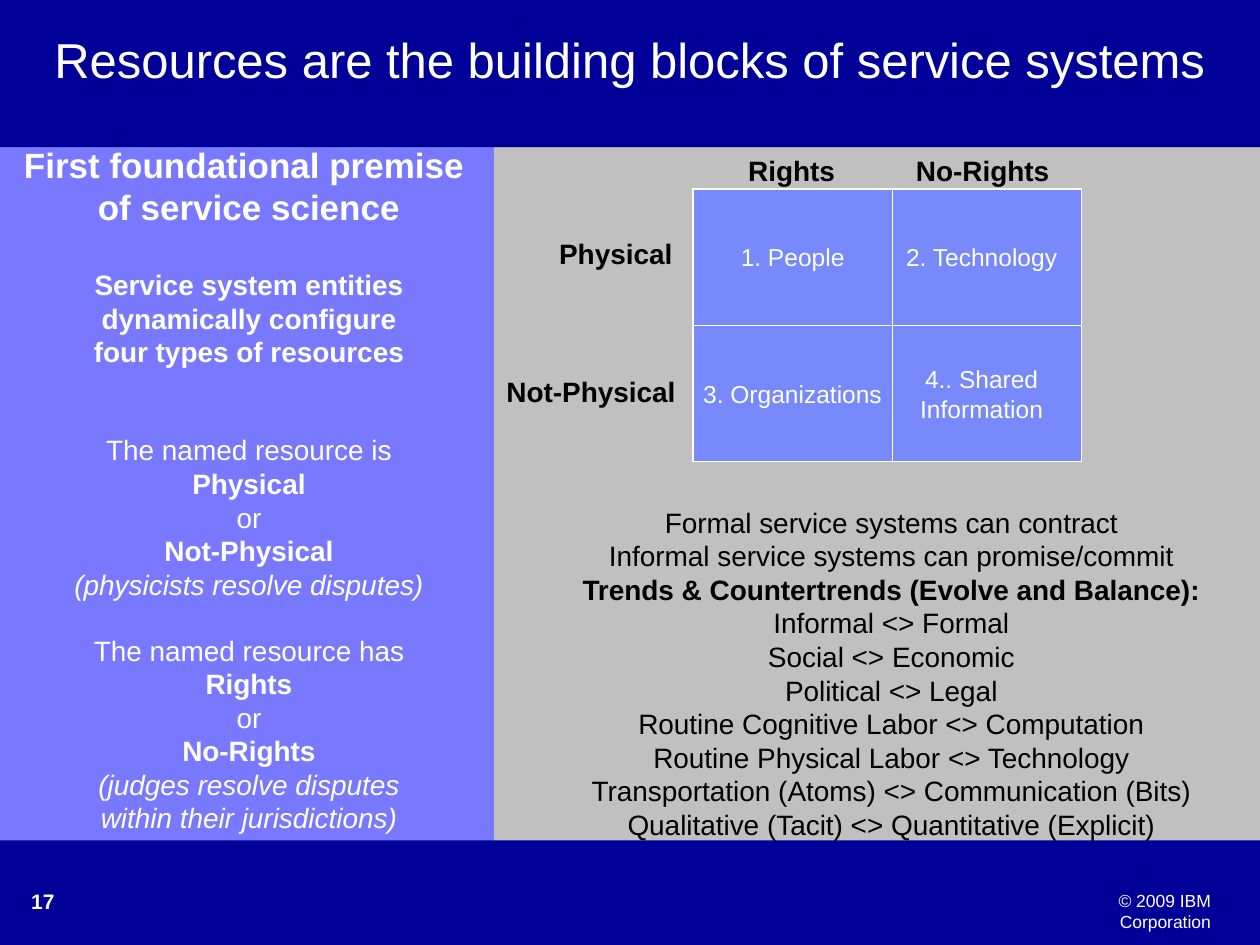
from dataclasses import dataclass
from typing import NamedTuple

from pptx import Presentation
from pptx.dml.color import RGBColor
from pptx.enum.shapes import MSO_SHAPE
from pptx.enum.text import MSO_ANCHOR, MSO_AUTO_SIZE, PP_ALIGN
from pptx.util import Cm, Pt

RECT = MSO_SHAPE.RECTANGLE
LEFT, MID, RIGHT = PP_ALIGN.LEFT, PP_ALIGN.CENTER, PP_ALIGN.RIGHT
TOP, CENTER = MSO_ANCHOR.TOP, MSO_ANCHOR.MIDDLE
FIXED = MSO_AUTO_SIZE.NONE


@dataclass(frozen=True)
class Theme:
    font: str = "Arial"
    back: RGBColor = RGBColor(0xC0, 0xC0, 0xC0)
    navy: RGBColor = RGBColor(0, 0, 0x99)
    panel: RGBColor = RGBColor(0x79, 0x79, 0xFF)
    cell: RGBColor = RGBColor(0x78, 0x89, 0xFB)
    white: RGBColor = RGBColor(0xFF, 0xFF, 0xFF)
    black: RGBColor = RGBColor(0, 0, 0)
    title: int = 28
    head: int = 20
    body: int = 16
    small: int = 14
    page: int = 12
    foot: int = 10


THEME = Theme()


class Box(NamedTuple):
    """Left, top, width and height in centimetres."""
    x: float
    y: float
    w: float
    h: float

    def place(self) -> tuple:
        return tuple(Cm(n) for n in self)


class Line(NamedTuple):
    text: str
    size: int = THEME.body
    bold: bool = False
    slant: bool = False
    gap: float = 0  # points before the line


class Label(NamedTuple):
    text: str
    box: Box


def write(frame, lines: list[Line], color: RGBColor, align=MID,
          anchor=TOP, wrap: bool = False) -> None:
    frame.auto_size = FIXED
    frame.word_wrap = wrap
    frame.vertical_anchor = anchor
    for i, line in enumerate(lines):
        para = frame.add_paragraph() if i else frame.paragraphs[0]
        para.text = line.text
        para.alignment = align
        if line.gap:
            para.space_before = Pt(line.gap)
        font = para.font
        font.name, font.size = THEME.font, Pt(line.size)
        font.bold, font.italic = line.bold, line.slant
        font.color.rgb = color


def add_rect(slide, box: Box, fill: RGBColor, edge: RGBColor | None = None):
    shape = slide.shapes.add_shape(RECT, *box.place())
    shape.shadow.inherit = False
    shape.fill.solid()
    shape.fill.fore_color.rgb = fill
    if edge is None:
        shape.line.fill.background()
    else:
        shape.line.color.rgb = edge
        shape.line.width = Pt(0.75)
    return shape


def add_text(slide, box: Box, lines: list[Line], color: RGBColor,
             align=MID, wrap: bool = False) -> None:
    frame = slide.shapes.add_textbox(*box.place()).text_frame
    write(frame, lines, color, align, wrap=wrap)


BANDS = [
    (Box(0, 1.07, 9.96, 17.15), THEME.panel),
    (Box(0, 0, 25.4, 2.97), THEME.navy),
    (Box(0, 16.94, 25.4, 2.11), THEME.navy),
]

# Gaps are one or two line heights
PREMISE = [
    Line("First foundational premise ", THEME.head, True),
    Line("of service science", THEME.head, True),
    Line("Service system entities", bold=True, gap=23),
    Line("dynamically configure", bold=True),
    Line("four types of resources", bold=True),
    Line("The named resource is", gap=36.8),
    Line("Physical", bold=True),
    Line("or"),
    Line("Not-Physical", bold=True),
    Line("(physicists resolve disputes)", slant=True),
    Line("The named resource has", gap=18.4),
    Line("Rights", bold=True),
    Line("or"),
    Line("No-Rights", bold=True),
    Line("(judges resolve disputes", slant=True),
    Line("within their jurisdictions)", slant=True),
]

TRENDS = [
    Line("Formal service systems can contract"),
    Line("Informal service systems can promise/commit"),
    Line("Trends & Countertrends (Evolve and Balance):", bold=True),
    Line("Informal <> Formal"),
    Line("Social <> Economic"),
    Line("Political <> Legal"),
    Line("Routine Cognitive Labor <> Computation"),
    Line("Routine Physical Labor <> Technology"),
    Line("Transportation (Atoms) <> Communication (Bits)"),
    Line("Qualitative (Tacit) <> Quantitative (Explicit)"),
]

LABELS = [
    Label("Physical", Box(11.02, 4.65, 2.79, 0.94)),
    Label("Not-Physical", Box(9.96, 7.42, 3.91, 0.94)),
    Label("Rights", Box(14.83, 2.97, 2.26, 0.94)),
    Label("No-Rights", Box(18.21, 2.97, 3.2, 0.94)),
]

# Columns of the matrix; the left one overlaps the right one
GRID = Box(13.97, 3.81, 4.02, 2.75)
STEP = 3.81
COLS = [
    (1, ["2. Technology", "4.. Shared\vInformation"]),
    (0, ["1. People", "3. Organizations"]),
]


def add_title(slide, text: str) -> None:
    title = slide.shapes.title
    title.left, title.top, title.width, title.height = Box(
        0.84, 0.61, 24.2, 1.5).place()
    title.fill.solid()
    title.fill.fore_color.rgb = THEME.navy
    write(title.text_frame, [Line(text, THEME.title)], THEME.white,
          LEFT, wrap=True)
    title.text_frame.paragraphs[0].line_spacing = 0.9
    # Bring the title in front of the bands
    title.element.getparent().append(title.element)


def main() -> None:
    deck = Presentation()
    deck.slide_width, deck.slide_height = Cm(25.4), Cm(19.05)
    slide = deck.slides.add_slide(deck.slide_layouts[5])
    slide.background.fill.solid()
    slide.background.fill.fore_color.rgb = THEME.back

    # Frame, footer and title
    for box, fill in BANDS:
        add_rect(slide, box, fill)
    add_text(slide, Box(20.37, 17.81, 4.29, 0.69),
             [Line("© 2009 IBM Corporation", THEME.foot)],
             THEME.white, RIGHT, True)
    add_text(slide, Box(0.38, 17.78, 2.79, 0.89),
             [Line("17", THEME.page, True)], THEME.white, LEFT, True)
    add_title(slide, "Resources are the building blocks of service systems")

    # Text columns
    add_text(slide, Box(11.48, 10.06, 12.98, 7.7), TRENDS, THEME.black)
    add_text(slide, Box(0.23, 2.77, 9.58, 16.33), PREMISE, THEME.white)

    # Resource matrix
    for text, box in LABELS:
        add_text(slide, box, [Line(text, bold=True)], THEME.black)
    for col, names in COLS:
        for row, name in enumerate(names):
            box = GRID._replace(x=GRID.x + col * STEP, y=GRID.y + row * GRID.h)
            cell = add_rect(slide, box, THEME.cell, THEME.white)
            write(cell.text_frame, [Line(name, THEME.small)], THEME.white,
                  anchor=CENTER)

    deck.save("out.pptx")


if __name__ == "__main__":
    main()
